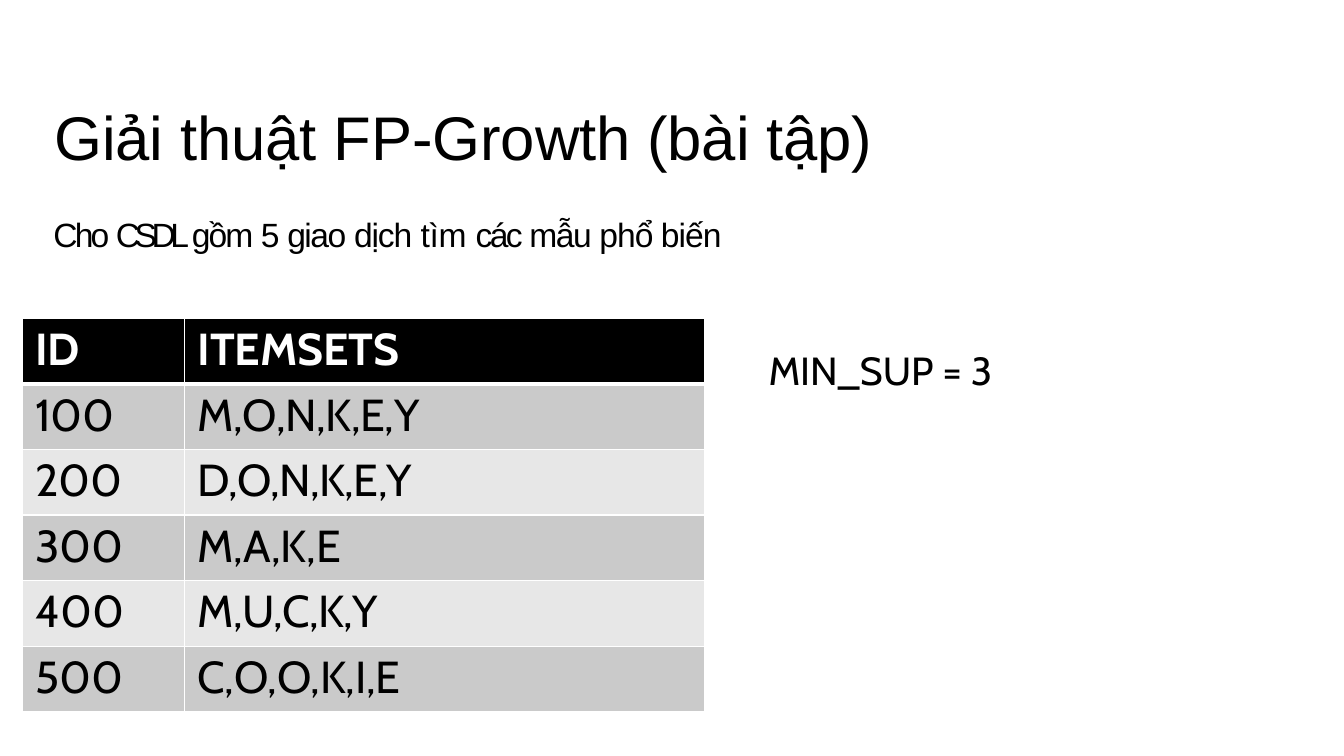
"""Build the FP-Growth exercise slide: a transaction table and its minimum support."""
from dataclasses import dataclass

from lxml.etree import SubElement
from pptx import Presentation
from pptx.dml.color import RGBColor as Rgb
from pptx.enum.text import MSO_ANCHOR as Anchor
from pptx.enum.text import MSO_AUTO_SIZE as AutoSize
from pptx.enum.text import PP_ALIGN as Align
from pptx.oxml.ns import qn
from pptx.slide import Slide
from pptx.table import _Cell as Cell
from pptx.text.text import TextFrame, _Paragraph as Paragraph
from pptx.util import Inches, Pt


@dataclass(frozen=True)
class Theme:
    black: str = "000000"
    white: str = "FFFFFF"
    bands: tuple[str, str] = ("CACACA", "E7E7E7")
    heading: str = "Arial"
    label: str = "Cabin"
    title_size: int = 44
    intro_size: int = 24
    table_size: int = 32
    support_size: int = 28
    thin: int = 1
    thick: int = 3


@dataclass(frozen=True)
class Piece:
    text: str
    spacing: float = 0


@dataclass(frozen=True)
class Style:
    name: str
    size: int
    color: str
    bold: bool = False


@dataclass(frozen=True)
class Row:
    identifier: Piece
    items: Piece


THEME = Theme()
TITLE = Piece("Giải thuật FP-Growth (bài tập)", -0.1)
INTRO = (
    Piece("Cho ", -2), Piece("CSDL ", -3.9), Piece("gồm ", -1.3),
    Piece("5 ", -1.2), Piece("giao ", -1.1), Piece("dịch ", -0.8),
    Piece("tìm ", -0.2), Piece("các ", -1.9), Piece("mẫu ", -1.1),
    Piece("phổ biến", -0.7),
)
SUPPORT = Piece("MIN_SUP = 3")
ROWS = (
    Row(Piece("ID", -0.2), Piece("ITEMSETS", -0.1)),
    Row(Piece("100", -0.2), Piece("M,O,N,K,E,Y", -0.3)),
    Row(Piece("200", -0.2), Piece("D,O,N,K,E,Y", -0.5)),
    Row(Piece("300", -0.1), Piece("M,A,K,E")),
    Row(Piece("400", -0.1), Piece("M,U,C,K,Y", -0.5)),
    Row(Piece("500", -0.1), Piece("C,O,O,K,I,E", -0.2)),
)
COLUMN_WIDTHS = (1.61, 5.16)
ROW_HEIGHT = 0.65


def write(para: Paragraph, pieces: tuple[Piece, ...], style: Style) -> None:
    """Add styled spans with their letter spacing to a paragraph."""
    for piece in pieces:
        span = para.add_run()
        span.text = piece.text
        formats = {"name": style.name, "size": Pt(style.size), "bold": style.bold}
        for attribute, value in formats.items():
            setattr(span.font, attribute, value)
        span.font.color.rgb = Rgb.from_string(style.color)
        span.font._element.set("spc", str(round(piece.spacing * 100)))


def set_frame(frame: TextFrame) -> None:
    """Give a text frame its narrow margins, wrapping and top anchor."""
    formats = {
        "margin_left": Inches(0.01), "margin_top": Inches(0.02),
        "margin_right": 0, "margin_bottom": 0, "word_wrap": True,
        "auto_size": AutoSize.SHAPE_TO_FIT_TEXT, "vertical_anchor": Anchor.TOP,
    }
    for attribute, value in formats.items():
        setattr(frame, attribute, value)


def set_borders(cell: Cell, widths: dict[str, int]) -> None:
    """Draw white borders of the given widths around a cell."""
    properties = cell._tc.get_or_add_tcPr()
    for index, (side, width) in enumerate(widths.items()):
        line = SubElement(properties, qn(f"a:{side}"), w=str(Pt(width)))
        fill = SubElement(line, qn("a:solidFill"))
        SubElement(fill, qn("a:srgbClr"), val=THEME.white)
        properties.insert(index, line)


def add_title(slide: Slide) -> None:
    """Place and fill the title placeholder."""
    title = slide.shapes.title
    formats = {"left": 0.53, "top": 0.96, "width": 8.19, "height": 0.76}
    for attribute, value in formats.items():
        setattr(title, attribute, Inches(value))
    set_frame(title.text_frame)
    para = title.text_frame.paragraphs[0]
    para.alignment = Align.LEFT
    write(para, (TITLE,), Style(THEME.heading, THEME.title_size, THEME.black))


def add_transactions(slide: Slide) -> None:
    """Add the banded table of transactions."""
    table = slide.shapes.add_table(
        len(ROWS), len(COLUMN_WIDTHS), Inches(0.22), Inches(3.16),
        Inches(sum(COLUMN_WIDTHS)), Inches(ROW_HEIGHT * len(ROWS)),
    ).table
    table.horz_banding = False
    for column, width in zip(table.columns, COLUMN_WIDTHS):
        column.width = Inches(width)
    margins = {"margin_left": 0.13, "margin_top": 0.04,
               "margin_right": 0, "margin_bottom": 0}
    for index, row in enumerate(ROWS):
        header = index == 0
        fill = THEME.black if header else THEME.bands[(index - 1) % 2]
        color = THEME.white if header else THEME.black
        style = Style(THEME.label, THEME.table_size, color, bold=header)
        borders = {
            "lnL": THEME.thin, "lnR": THEME.thin,
            "lnT": THEME.thick if index == 1 else THEME.thin,
            "lnB": THEME.thick if header else THEME.thin,
        }
        for cell, piece in zip(table.rows[index].cells, (row.identifier, row.items)):
            for attribute, value in margins.items():
                setattr(cell, attribute, Inches(value))
            cell.fill.solid()
            cell.fill.fore_color.rgb = Rgb.from_string(fill)
            set_borders(cell, borders)
            write(cell.text_frame.paragraphs[0], (piece,), style)


def add_task(slide: Slide) -> None:
    """Add the exercise text and the minimum support in one box."""
    box = slide.shapes.add_textbox(
        Inches(0.52), Inches(2.1), Inches(9.32), Inches(1.75))
    frame = box.text_frame
    set_frame(frame)
    write(frame.paragraphs[0], INTRO,
          Style(THEME.heading, THEME.intro_size, THEME.black))
    para = frame.add_paragraph()
    para.alignment = Align.RIGHT
    para.space_before = Pt(66)
    write(para, (SUPPORT,), Style(THEME.label, THEME.support_size, THEME.black))


def main() -> None:
    """Build and save the deck."""
    deck = Presentation()
    deck.slide_width, deck.slide_height = Inches(13.33), Inches(7.5)
    slide = deck.slides.add_slide(deck.slide_layouts.get_by_name("Title Only"))
    add_title(slide)
    add_transactions(slide)
    add_task(slide)
    deck.save("out.pptx")


if __name__ == "__main__":
    main()
